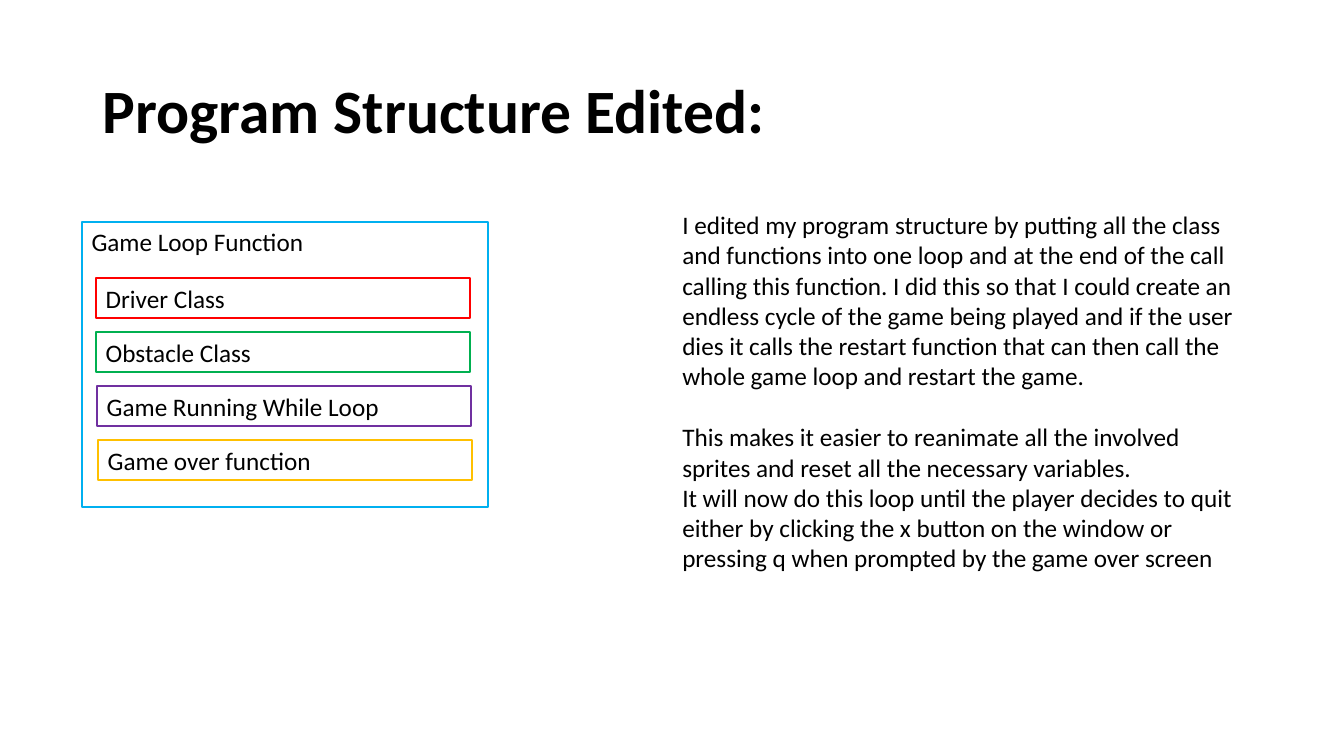
from dataclasses import dataclass

from pptx import Presentation
from pptx.dml.color import RGBColor
from pptx.enum.text import MSO_ANCHOR
from pptx.util import Inches, Pt

BLACK = RGBColor(0x00, 0x00, 0x00)
LIGHT_BLUE = RGBColor(0x00, 0xB0, 0xF0)
RED = RGBColor(0xFF, 0x00, 0x00)
GREEN = RGBColor(0x00, 0xB0, 0x50)
PURPLE = RGBColor(0x70, 0x30, 0xA0)
GOLD = RGBColor(0xFF, 0xC0, 0x00)

FONT = "Calibri"
BODY_SIZE = 18
PART_TOP, PART_PITCH = 2.76, 0.535
PART_WIDTH, PART_HEIGHT = 3.71, 0.4


@dataclass
class ProgramPart:
    label: str
    color: RGBColor
    left: float


PARTS = [
    ProgramPart("Driver Class", RED, 0.95),
    ProgramPart("Obstacle Class", GREEN, 0.95),
    ProgramPart("Game Running While Loop", PURPLE, 0.96),
    ProgramPart("Game over function", GOLD, 0.97),
]

EXPLANATION = [
    "I edited my program structure by putting all the class and functions into "
    "one loop and at the end of the call calling this function. I did this so "
    "that I could create an endless cycle of the game being played and if the "
    "user dies it calls the restart function that can then call the whole game "
    "loop and restart the game.",
    "This makes it easier to reanimate all the involved sprites and reset all "
    "the necessary variables.",
    "It will now do this loop until the player decides to quit either by "
    "clicking the x button on the window or pressing q when prompted by the "
    "game over screen",
]


def add_text(shapes, left: float, top: float, width: float, height: float,
             lines: list[str], size: int = BODY_SIZE, bold: bool = False):
    sp = shapes.add_textbox(Inches(left), Inches(top), Inches(width), Inches(height))
    tf = sp.text_frame
    tf.word_wrap = True
    for i, line in enumerate(lines):
        p = tf.add_paragraph() if i else tf.paragraphs[0]
        p.text = line
        p.font.name = FONT
        p.font.size = Pt(size)
        p.font.bold = bold
        p.font.color.rgb = BLACK
    return sp


def add_framed_label(shapes, left: float, top: float, width: float, height: float,
                     label: str, color: RGBColor) -> None:
    sp = add_text(shapes, left, top, width, height, [label])
    sp.line.color.rgb = color
    sp.line.width = Pt(1.5)


def main() -> None:
    prs = Presentation()
    prs.slide_width, prs.slide_height = Inches(13.333), Inches(7.5)
    s = prs.slides.add_slide(prs.slide_layouts[6])

    title = add_text(s.shapes, 0.92, 0.4, 11.5, 1.45,
                     ["Program Structure Edited:"], size=44, bold=True)
    title.text_frame.vertical_anchor = MSO_ANCHOR.MIDDLE
    title.text_frame.paragraphs[0].line_spacing = 0.9

    diagram = s.shapes.add_group_shape().shapes
    add_framed_label(diagram, 0.81, 2.2, 4.03, 2.83, "Game Loop Function", LIGHT_BLUE)
    for i, part in enumerate(PARTS):
        add_framed_label(diagram, part.left, PART_TOP + i * PART_PITCH,
                         PART_WIDTH, PART_HEIGHT, part.label, part.color)

    explanation = add_text(s.shapes, 6.67, 2.03, 5.85, 3.74, EXPLANATION)
    explanation.text_frame.paragraphs[1].space_before = Pt(22)

    prs.save("out.pptx")


if __name__ == "__main__":
    main()
